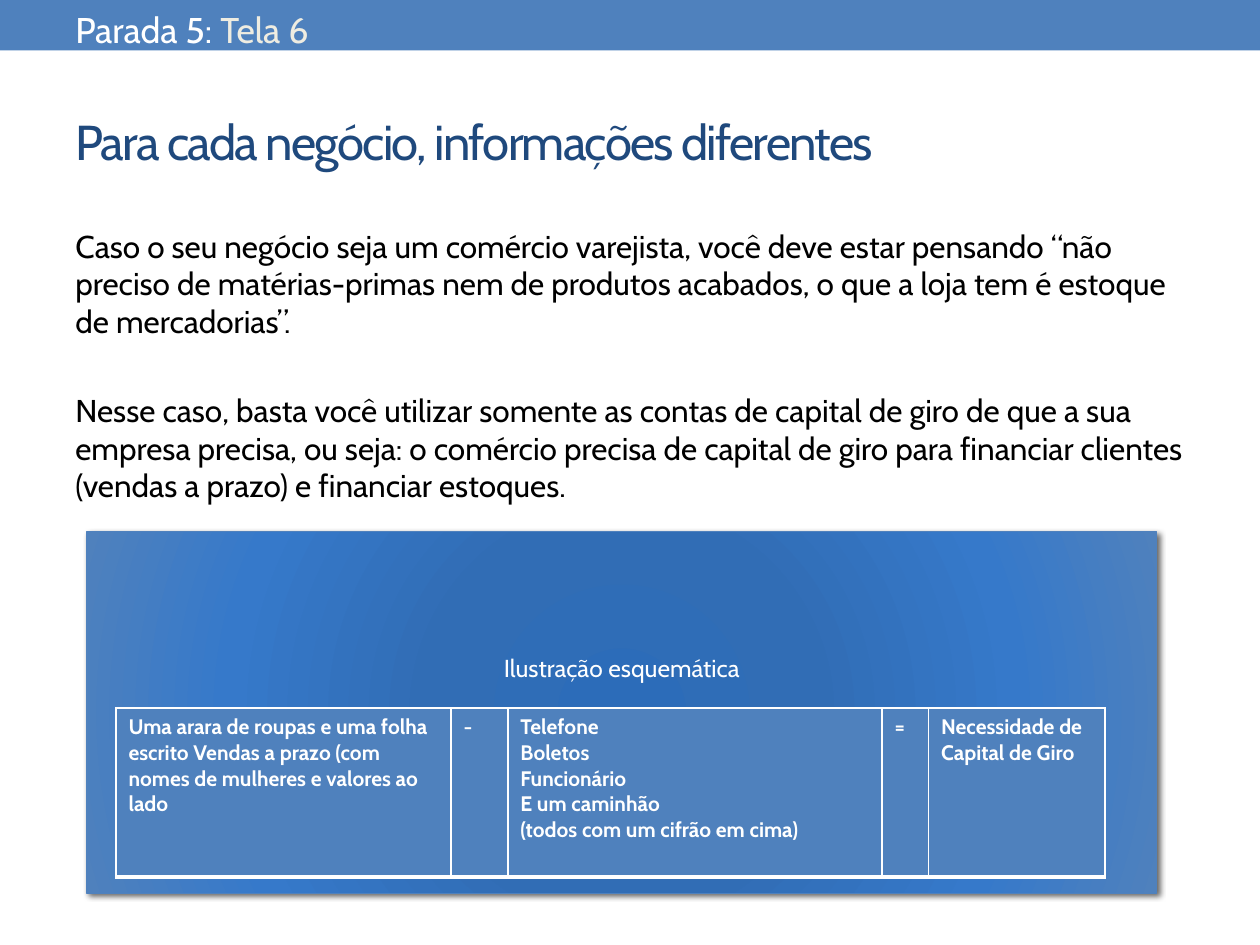
from lxml.etree import SubElement
from pptx import Presentation
from pptx.dml.color import RGBColor
from pptx.enum.shapes import MSO_SHAPE as Shape
from pptx.enum.text import MSO_ANCHOR as Anchor, PP_ALIGN as Align
from pptx.oxml import parse_xml
from pptx.oxml.ns import nsdecls, qn
from pptx.util import Inches, Pt

COLUMNS, ROWS = 20, 15
WHITE, BLACK, BLUE, NAVY, CREAM = "FFFFFF", "000000", "4F81BD", "1F497D", "EEECE1"
PANEL_STOPS = [(0, "2C6CB9"), (34, "316DB5"), (70, "3679CA"), (100, BLUE)]
BORDERS = {"lnL": 1, "lnR": 1, "lnT": 1, "lnB": 3}


def color(value):
    """Turn a hex string into a colour."""
    return RGBColor.from_string(value)


class SlideBuilder:
    """Holds the style and the current slide, measured on a 20 by 15 grid."""

    font = "Cabin"

    def __init__(self, presentation):
        """Add a blank slide to the presentation."""
        self.column = presentation.slide_width / COLUMNS
        self.row = presentation.slide_height / ROWS
        self.slide = presentation.slides.add_slide(presentation.slide_layouts[6])

    def place(self, left, top, width, height):
        """Convert grid units to slide lengths."""
        return (round(left * self.column), round(top * self.row),
                round(width * self.column), round(height * self.row))

    def fill_text(self, frame, paragraphs, size, bold=False, gap=0, align=Align.LEFT, spacing=None):
        """Fill a text frame with paragraphs, each a list of (text, colour) runs."""
        frame.word_wrap = True
        for index, runs in enumerate(paragraphs):
            paragraph = frame.add_paragraph() if index else frame.paragraphs[0]
            paragraph.alignment = align
            paragraph.space_before = Pt(gap if index else 0)
            for text, text_color in runs:
                run = paragraph.add_run()
                run.text = text
                run.font.name, run.font.size, run.font.bold = self.font, Pt(size), bold
                run.font.color.rgb = color(text_color)
                if spacing:
                    run.font._element.set("spc", str(spacing * 100))

    def text(self, box, paragraphs, size, anchor=Anchor.TOP, **style):
        """Add a text box."""
        frame = self.slide.shapes.add_textbox(*self.place(*box)).text_frame
        frame.vertical_anchor = anchor
        self.fill_text(frame, paragraphs, size, **style)

    def rectangle(self, box, fill):
        """Add a flat rectangle without an outline."""
        shape = self.slide.shapes.add_shape(Shape.RECTANGLE, *self.place(*box))
        shape.shadow.inherit = False
        shape.fill.solid()
        shape.fill.fore_color.rgb = color(fill)
        shape.line.fill.background()
        return shape

    def panel(self, box, stops, caption, size, bottom_rows):
        """Add a rectangle with a radial gradient, a soft shadow and a caption."""
        shape = self.rectangle(box, BLUE)
        shape.line.color.rgb = color(BLUE)
        shape.line.width = Pt(0.75)
        stop_xml = "".join(f'<a:gs pos="{position * 1000}"><a:srgbClr val="{value}"/></a:gs>'
                           for position, value in stops)
        properties = shape._element.spPr
        properties.replace(properties.find(qn("a:solidFill")), parse_xml(
            f'<a:gradFill {nsdecls("a")} rotWithShape="1"><a:gsLst>{stop_xml}</a:gsLst>'
            '<a:path path="circle"><a:fillToRect l="100000" t="100000" r="100000" b="100000"/>'
            '</a:path></a:gradFill>'))
        properties.find(qn("a:effectLst")).append(parse_xml(
            f'<a:outerShdw {nsdecls("a")} blurRad="{Pt(3)}" dist="{Pt(2)}" dir="2700000" '
            f'rotWithShape="0"><a:srgbClr val="{BLACK}"><a:alpha val="60000"/></a:srgbClr>'
            '</a:outerShdw>'))
        frame = shape.text_frame
        frame.vertical_anchor = Anchor.MIDDLE
        frame.margin_bottom = round(bottom_rows * self.row)
        self.fill_text(frame, [[(caption, WHITE)]], size, align=Align.CENTER)

    def table(self, left, top, widths, height, entries, size):
        """Add a one-row table with white borders; each entry is a list of lines."""
        box = self.place(left, top, sum(widths), height)
        table = self.slide.shapes.add_table(1, len(widths), *box).table
        table.first_row = table.horz_banding = False
        for index, (width, lines) in enumerate(zip(widths, entries)):
            table.columns[index].width = round(width * self.column)
            cell = table.cell(0, index)
            self.fill_text(cell.text_frame, [[(line, WHITE)] for line in lines], size, bold=True)
            properties = cell._tc.get_or_add_tcPr()
            for tag, weight in BORDERS.items():
                border = SubElement(properties, qn(f"a:{tag}"), w=str(Pt(weight)))
                border_fill = SubElement(border, qn("a:solidFill"))
                SubElement(border_fill, qn("a:srgbClr"), val=WHITE)
            cell.fill.solid()
            cell.fill.fore_color.rgb = color(BLUE)


def main():
    """Build and save the presentation."""
    presentation = Presentation()
    presentation.slide_width, presentation.slide_height = Inches(10), Inches(7.5)
    builder = SlideBuilder(presentation)
    builder.rectangle((0, 0, COLUMNS, 0.8), BLUE)
    builder.text((1, 1.16, 18, 2.16), [[("Para cada negócio, informações diferentes", NAVY)]], 28,
                 anchor=Anchor.MIDDLE, spacing=-1)
    body = [
        "Caso o seu negócio seja um comércio varejista, você deve estar pensando “não preciso de "
        "matérias-primas nem de produtos acabados, o que a loja tem é estoque de mercadorias”.",
        "Nesse caso, basta você utilizar somente as contas de capital de giro de que a sua empresa "
        "precisa, ou seja: o comércio precisa de capital de giro para financiar clientes (vendas a "
        "prazo) e financiar estoques.",
    ]
    builder.text((1, 3.5, 18, 10.66), [[(text, BLACK)] for text in body], 18, gap=29)
    builder.panel((1.38, 8.44, 16.98, 5.74), PANEL_STOPS, "Ilustração esquemática", 14, 1.52)
    builder.table(1.84, 11.24, [5.32, 0.9, 5.94, 0.74, 2.8], 2.68, [
        ["Uma arara de roupas e uma folha escrito Vendas a prazo "
         "(com nomes de mulheres e valores ao lado"],
        ["-"],
        ["Telefone", "Boletos", "Funcionário", "E um caminhão", "(todos com um cifrão em cima)"],
        ["="],
        ["Necessidade de Capital de Giro"],
    ], 12)
    builder.text((1, 0.02, 18, 0.76), [[("Parada 5: ", WHITE), ("Tela 6", CREAM)]], 20.4)
    presentation.save("out.pptx")


if __name__ == "__main__":
    main()
